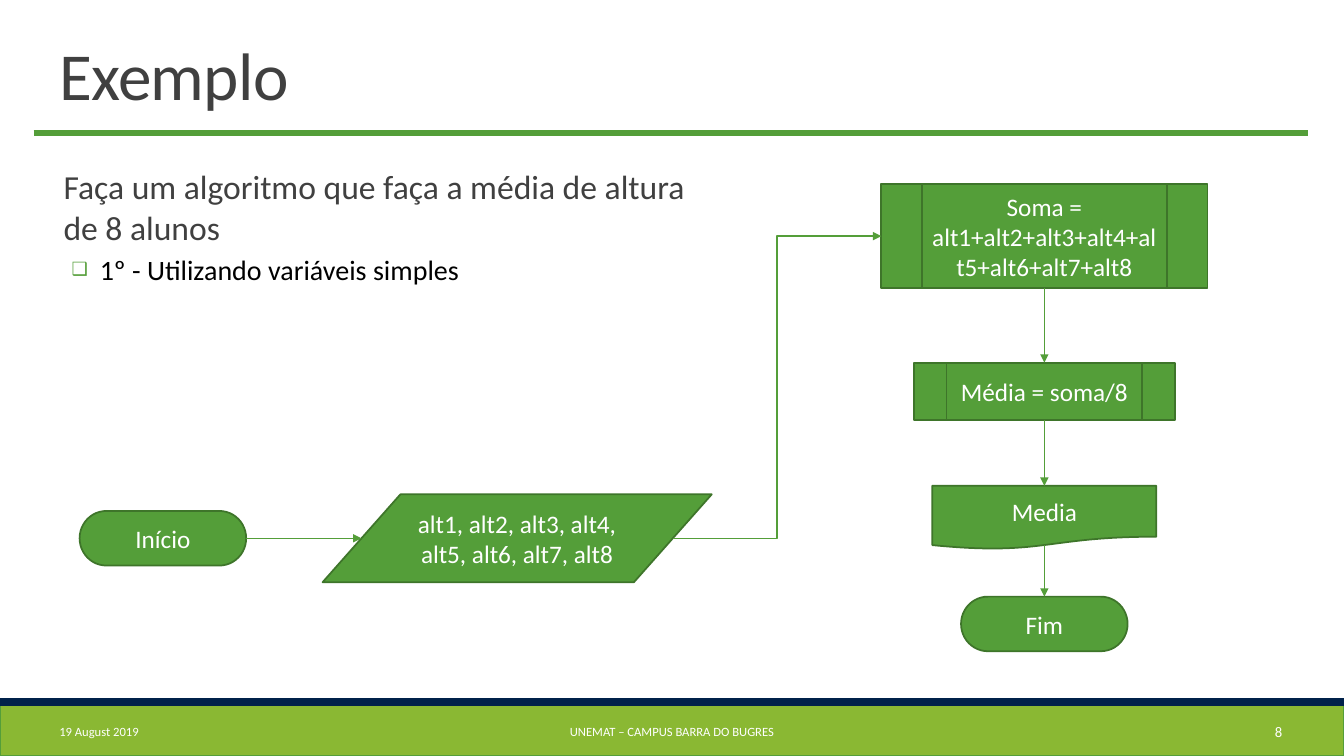
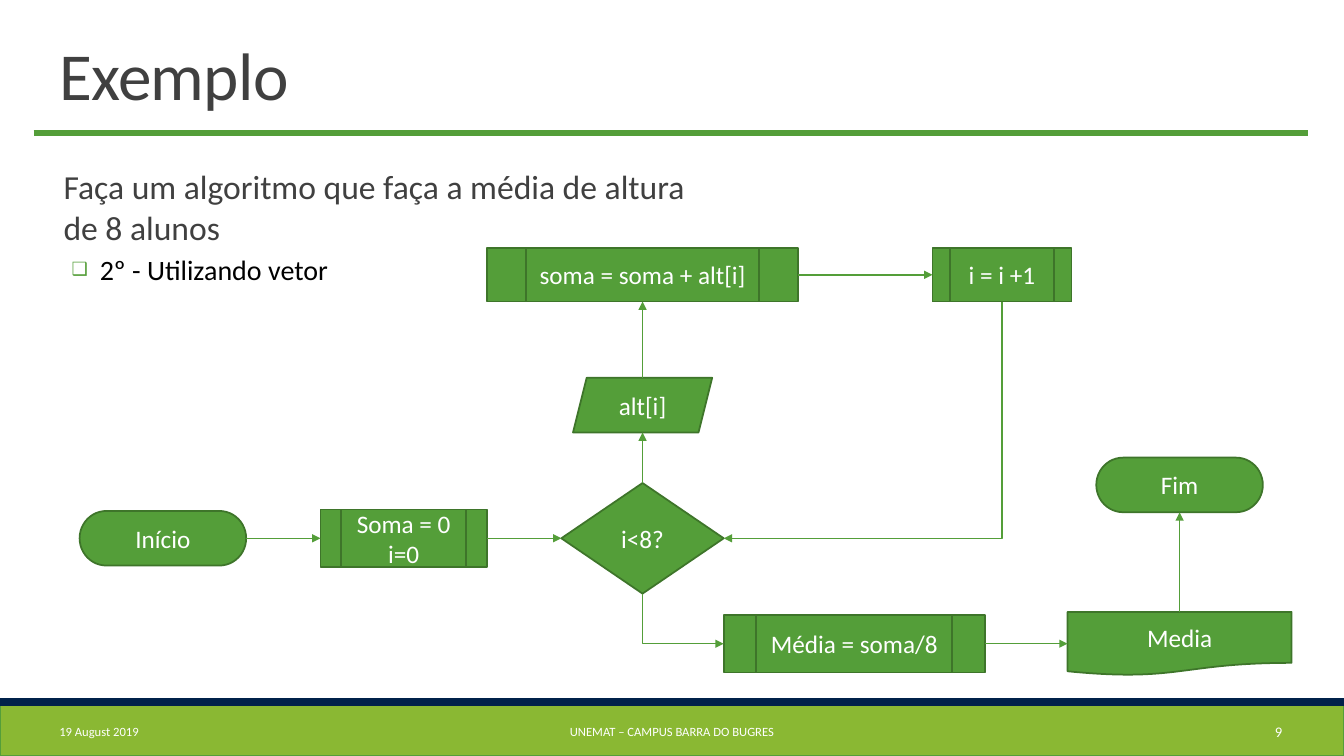
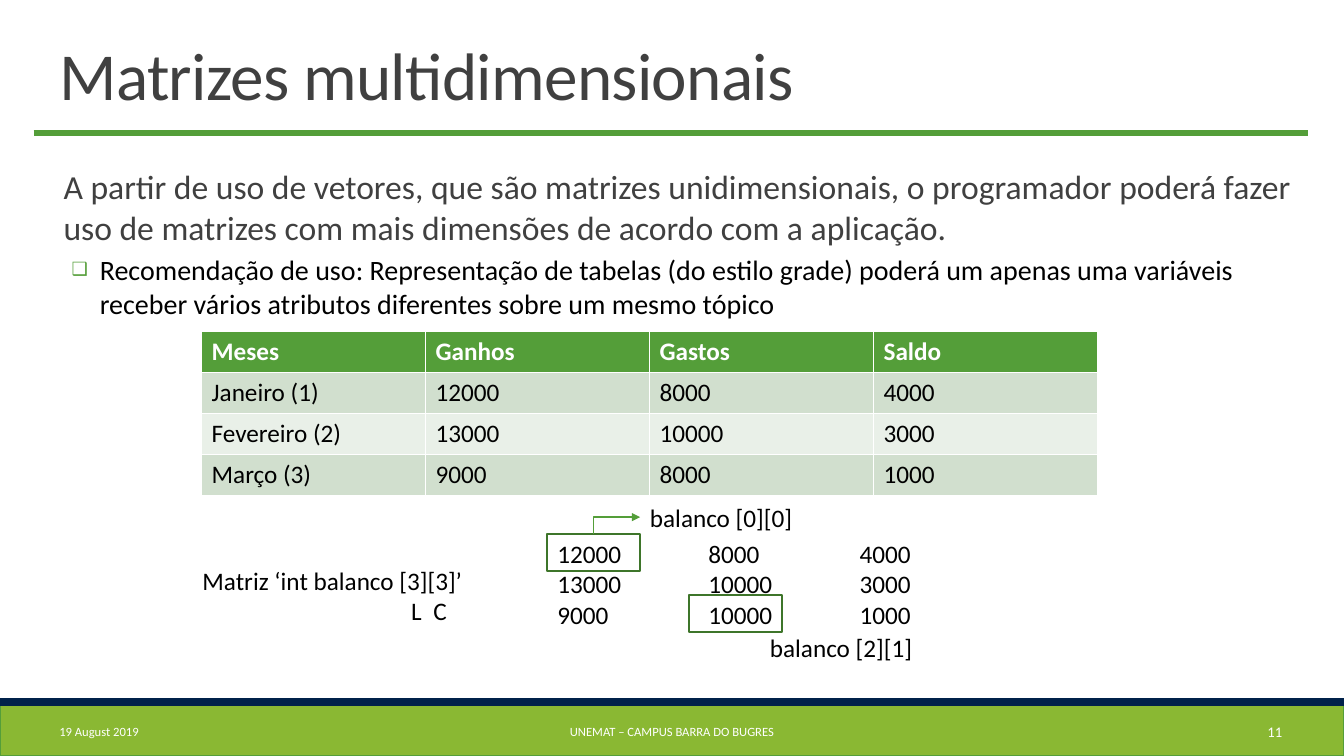
from lxml.etree import SubElement as Sub
from pptx import Presentation
from pptx.dml.color import RGBColor as RGB
from pptx.enum.shapes import MSO_CONNECTOR as Wire, MSO_SHAPE as Form
from pptx.enum.text import MSO_ANCHOR as Anchor, MSO_AUTO_SIZE as Fit, PP_ALIGN as Align
from pptx.oxml.ns import qn
from pptx.util import Pt

GREEN, DARK, LIME, NAVY = "549E39", "3E752A", "8AB833", "00214A"
WHITE, BLACK, GRAY, ORANGE = "FFFFFF", "000000", "404040", "E48312"
BANDS = ["D1DFCE", "E9F0E8"]


def color(text):
    return RGB.from_string(text)


def tag(node, name, **attrs):
    return Sub(node, qn("a:" + name), {key: str(val) for key, val in attrs.items()})


def port(shape, side, inset=0):
    left, top, wide, high = shape.left.pt, shape.top.pt, shape.width.pt, shape.height.pt
    midx, midy = left + wide / 2, top + high / 2
    return {
        "l": (left + inset, midy),
        "r": (left + wide - inset, midy),
        "t": (midx, top + inset),
        "b": (midx, top + high - inset),
    }[side]


class Deck:
    font = "Calibri"

    def __init__(self):
        self.show = Presentation()
        self.show.slide_width, self.show.slide_height = Pt(960), Pt(540)

    def place(self, shape, *box):
        shape.left, shape.top, shape.width, shape.height = map(Pt, box)

    def ink(self, para, size, hue, bold=False):
        for run in para.runs:
            run.font.name, run.font.size, run.font.bold = self.font, Pt(size), bold
            run.font.color.rgb = color(hue)

    def page(self, title, number, lead, point, wide):
        self.slide = self.show.slides.add_slide(self.show.slide_layouts[1])
        self.shapes = self.slide.shapes
        self.rect(0, 504, 960, 36, LIME, GREEN)
        self.rect(0, 499, 960, 5, NAVY, NAVY)
        self.line((24, 95), (934, 95), 4.5, False)
        self.title(title)
        self.body(lead, point, wide)
        self.foot("19 August 2019", 35.3, 194.4, 9, Align.LEFT)
        self.foot("UNEMAT – CAMPUS BARRA DO BUGRES", 290.2, 379.4, 9, Align.CENTER)
        self.foot(str(number), 820, 103, 10.5, Align.RIGHT)

    def title(self, text):
        head = self.shapes.title
        self.place(head, 35.3, 22.3, 748, 62.6)
        frame = head.text_frame
        frame.text, frame.auto_size = text, Fit.NONE
        frame.vertical_anchor = Anchor.BOTTOM
        para = frame.paragraphs[0]
        para.alignment, para.line_spacing = Align.LEFT, 0.85
        self.ink(para, 48, GRAY)
        para.runs[0].font._element.set("spc", "-50")

    def body(self, lead, point, wide):
        hold = self.slide.placeholders[1]
        self.place(hold, 35.3, 115.2, wide, 365)
        frame = hold.text_frame
        frame.text, frame.auto_size = lead + "\n" + point, Fit.NONE
        frame.margin_left = frame.margin_right = 0
        first, second = frame.paragraphs
        second.level = 1
        self.bullet(first, 10.1, -7.2, 12, 2, " ", ORANGE, 100)
        self.bullet(second, 36, -20.2, 2, 4, "❑", GREEN, 65)
        self.ink(first, 24, GRAY)
        self.ink(second, 20, BLACK)

    def bullet(self, para, left, hang, above, below, mark, hue, scale):
        para.space_before, para.space_after = Pt(above), Pt(below)
        prop = para._p.get_or_add_pPr()
        prop.set("marL", str(Pt(left)))
        prop.set("indent", str(Pt(hang)))
        tag(tag(prop, "buClr"), "srgbClr", val=hue)
        tag(prop, "buSzPct", val=scale * 1000)
        tag(prop, "buChar", char=mark)

    def foot(self, text, left, wide, size, align):
        box = self.shapes.add_textbox(Pt(left), Pt(508.3), Pt(wide), Pt(28.8))
        frame = box.text_frame
        frame.word_wrap, frame.vertical_anchor = True, Anchor.MIDDLE
        frame.text = text
        frame.paragraphs[0].alignment = align
        self.ink(frame.paragraphs[0], size, WHITE)

    def label(self, text, left, top, wide, high, tabs=()):
        box = self.shapes.add_textbox(Pt(left), Pt(top), Pt(wide), Pt(high))
        frame = box.text_frame
        frame.text, frame.word_wrap = text, False
        frame.auto_size = Fit.SHAPE_TO_FIT_TEXT
        for para in frame.paragraphs:
            self.ink(para, 18, BLACK)
            if tabs:
                stops = tag(para._p.get_or_add_pPr(), "tabLst")
                for stop in tabs:
                    tag(stops, "tab", pos=Pt(stop), algn="l")

    def rect(self, left, top, wide, high, fill, edge, form=Form.RECTANGLE):
        shape = self.shapes.add_shape(form, Pt(left), Pt(top), Pt(wide), Pt(high))
        shape.shadow.inherit = False
        if fill:
            shape.fill.solid()
            shape.fill.fore_color.rgb = color(fill)
        else:
            shape.fill.background()
        shape.line.color.rgb, shape.line.width = color(edge), Pt(1.25)
        return shape

    def node(self, form, text, midx, midy, wide, high):
        shape = self.rect(midx - wide / 2, midy - high / 2, wide, high, GREEN, DARK, form)
        shape.text_frame.text = text
        shape.text_frame.vertical_anchor = Anchor.MIDDLE
        for para in shape.text_frame.paragraphs:
            para.alignment = Align.CENTER
            self.ink(para, 18, WHITE)
        return shape

    def pill(self, text, midx, midy):
        return self.node(Form.FLOWCHART_TERMINATOR, text, midx, midy, 119, 39)

    def step(self, text, midx, midy, wide, high):
        return self.node(Form.FLOWCHART_PREDEFINED_PROCESS, text, midx, midy, wide, high)

    def paper(self, text, midx, midy):
        return self.node(Form.FLOWCHART_DOCUMENT, text, midx, midy, 160, 45.4)

    def line(self, start, end, width=1, arrow=True, kind=Wire.STRAIGHT):
        wire = self.shapes.add_connector(kind, *map(Pt, start + end))
        wire.line.color.rgb, wire.line.width = color(GREEN), Pt(width)
        prop = wire._element.spPr
        if arrow:
            tag(prop.find(qn("a:ln")), "tailEnd", type="triangle")
        tag(prop, "effectLst")
        return prop

    def turn(self, start, end):
        midx, midy = (start[0] + end[0]) / 2, (start[1] + end[1]) / 2
        halfx, halfy = (end[0] - start[0]) / 2, (end[1] - start[1]) / 2
        prop = self.line((midx - halfy, midy + halfx), (midx + halfy, midy - halfx), kind=Wire.ELBOW)
        prop.find(qn("a:xfrm")).set("rot", "5400000")
        prop.find(qn("a:prstGeom")).set("prst", "bentConnector2")

    def table(self, rows, left, top, wide, high):
        size = len(rows), len(rows[0])
        grid = self.shapes.add_table(*size, Pt(left), Pt(top), Pt(wide), Pt(high)).table
        for i, row in enumerate(rows):
            for j, text in enumerate(row):
                cell = grid.cell(i, j)
                cell.text = text
                cell.fill.solid()
                cell.fill.fore_color.rgb = color(BANDS[(i - 1) % 2] if i else GREEN)
                self.ink(cell.text_frame.paragraphs[0], 18, BLACK if i else WHITE, not i)


deck = Deck()
task = "Faça um algoritmo que faça a média de altura de 8 alunos"
base = 384.5

deck.page("Exemplo", 8, task, "1º - Utilizando variáveis simples", 471)
col = 746
start = deck.pill("Início", 116.4, base)
end = deck.pill("Fim", col, 445.7)
data = deck.node(Form.FLOWCHART_DATA, "alt1, alt2, alt3, alt4, alt5, alt6, alt7, alt8", 369.4, base, 278, 62.8)
total = deck.step("Soma = alt1+alt2+alt3+alt4+alt5+alt6+alt7+alt8", col, 168.7, 233, 74.2)
mean = deck.step("Média = soma/8", col, 279.6, 186.5, 41)
out = deck.paper("Media", col, 369.7)
deck.line(port(data, "r", 27.8), port(total, "l"), kind=Wire.ELBOW)
deck.line(port(total, "b"), port(mean, "t"))
deck.line(port(mean, "b"), port(out, "t"))
deck.line(port(out, "b", 3), port(end, "t"))
deck.line(port(start, "r"), port(data, "l", 27.8))

deck.page("Exemplo", 9, task, "2º - Utilizando vetor", 471)
col, last, high, low = 459, 842.6, 196.3, 459.8
start = deck.pill("Início", 116.4, base)
end = deck.pill("Fim", last, 346.4)
total = deck.step("soma = soma + alt[i]", col, high, 222.5, 38.2)
mean = deck.step("Média = soma/8", 610.2, low, 186.5, 41)
out = deck.paper("Media", last, low)
init = deck.step("Soma = 0\ni=0", 288.4, base, 119, 41)
test = deck.node(Form.DIAMOND, "i<8?", col, base, 116, 79)
data = deck.node(Form.PARALLELOGRAM, "alt[i]", col, 289.4, 99.4, 39)
count = deck.step("i = i +1", 715.7, high, 99.4, 38.2)
for tail, side, head, goal in [
    (start, "r", init, "l"), (init, "r", test, "l"), (test, "t", data, "b"),
    (data, "t", total, "b"), (total, "r", count, "l"), (mean, "r", out, "l"),
    (out, "t", end, "b"),
]:
    deck.line(port(tail, side), port(head, goal))
deck.turn(port(count, "b"), port(test, "r"))
deck.turn(port(test, "b"), port(mean, "l"))

deck.page(
    "Matrizes multidimensionais", 11,
    "A partir de uso de vetores, que são matrizes unidimensionais, o programador poderá "
    "fazer uso de matrizes com mais dimensões de acordo com a aplicação.",
    "Recomendação de uso: Representação de tabelas (do estilo grade) poderá um apenas uma "
    "variáveis receber vários atributos diferentes sobre um mesmo tópico", 888)
deck.table([
    ["Meses", "Ganhos", "Gastos", "Saldo"],
    ["Janeiro (1)", "12000", "8000", "4000"],
    ["Fevereiro (2)", "13000", "10000", "3000"],
    ["Março (3)", "9000", "8000", "1000"],
], 144, 237, 640, 116.8)
deck.label("12000\t8000\t4000\n13000\t10000\t3000\n9000\t10000\t1000", 391, 381, 269.3, 72.7, (108, 216))
deck.label("Matriz ‘int balanco [3][3]’\n\tL\tC", 137.5, 400.3, 202.3, 51, (149, 165))
first = deck.rect(390.8, 381.4, 66.4, 26.4, None, DARK)
deck.label("balanco [0][0]", 457.2, 355, 117.4, 29)
deck.turn(port(first, "t"), (457.2, 369.4))
deck.rect(492.2, 425, 66.4, 26.4, None, DARK)
deck.label("balanco [2][1]", 542.9, 447.8, 117.4, 29)

deck.show.save("out.pptx")
